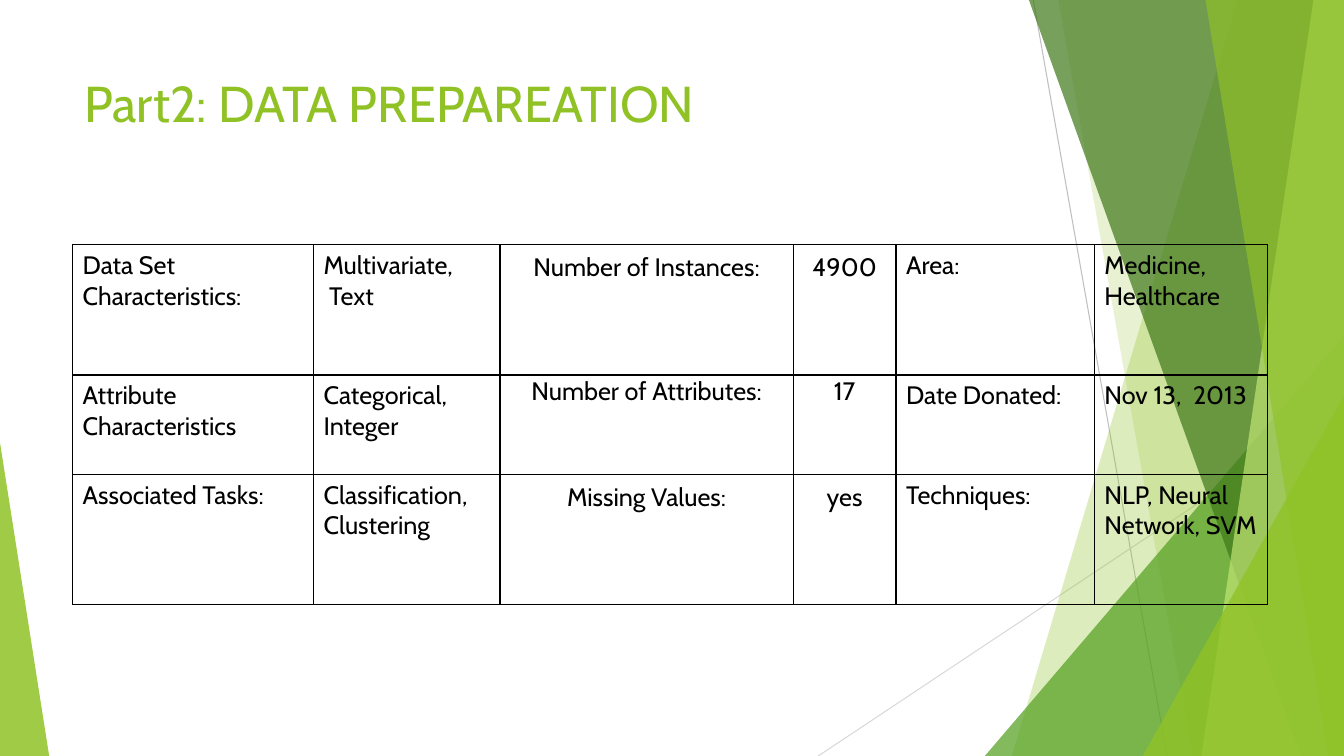
"""Build the data preparation slide with its faceted green backdrop."""
from dataclasses import dataclass

from lxml.etree import SubElement
from pptx import Presentation
from pptx.dml.color import RGBColor
from pptx.enum.shapes import MSO_CONNECTOR, MSO_SHAPE
from pptx.enum.text import MSO_ANCHOR, PP_ALIGN
from pptx.oxml.ns import qn
from pptx.shapes.base import BaseShape
from pptx.slide import Slide
from pptx.table import _Cell
from pptx.text.text import _Paragraph
from pptx.util import Cm, Pt


@dataclass(frozen=True)
class Theme:
    font: str = "Cabin"
    title_size: int = 36
    cell_size: int = 18
    line_width: float = 0.75
    border_width: float = 1
    lime: str = "90C226"
    leaf: str = "54A021"
    forest: str = "3F7819"
    pale: str = "C0E474"
    ink: str = "000000"
    silver: str = "BFBFBF"
    mist: str = "D9D9D9"


@dataclass(frozen=True)
class Ray:
    start: tuple[float, float]
    end: tuple[float, float]
    color: str


@dataclass(frozen=True)
class Panel:
    top_left: float
    bottom_left: float
    color: str
    opacity: int


@dataclass(frozen=True)
class Wedge:
    left: float
    top: float
    width: float
    apex: float
    color: str
    opacity: int


@dataclass(frozen=True)
class Entry:
    text: str
    margin: float | None = None


THEME = Theme()
WIDTH, HEIGHT = 33.87, 19.05
RAYS = (
    Ray((26.04, 0), (29.41, HEIGHT), THEME.silver),
    Ray((WIDTH, 10.24), (20.62, HEIGHT), THEME.mist),
)
FACETS = (
    Panel(31.19, 25.5, THEME.lime, 30),
    Panel(26.67, 30.05, THEME.lime, 20),
    Wedge(24.82, 8.46, 9.05, 1, THEME.leaf, 72),
    Panel(25.93, 32.79, THEME.forest, 70),
    Panel(33.1, 30.28, THEME.pale, 70),
    Panel(30.38, 33.48, THEME.lime, 65),
    Wedge(28.8, 9.98, 5.07, 1, THEME.lime, 80),
    Wedge(0, 11.15, 1.24, 0, THEME.lime, 85),
)
COLUMN_WIDTHS = (6.07, 4.7, 7.39, 2.59, 5, 4.37)
ROW_HEIGHTS = (3.28, 2.51, 3.28)
ENTRIES = (
    (Entry("Data Set Characteristics:"), Entry("Multivariate,\n Text"),
     Entry("Number of Instances:", 0.18), Entry("4900", 0.18),
     Entry("Area:"), Entry("Medicine, Healthcare")),
    (Entry("Attribute Characteristics"), Entry("Categorical,\nInteger"),
     Entry("Number of Attributes:", 0.03), Entry("17", 0.03),
     Entry("Date Donated:"), Entry("Nov 13,  2013")),
    (Entry("Associated Tasks:"), Entry("Classification, Clustering"),
     Entry("Missing Values:", 0.18), Entry("yes", 0.18),
     Entry("Techniques:"), Entry("NLP, Neural Network, SVM")),
)


def add_run(paragraph: _Paragraph, text: str, size: int, color: str) -> None:
    run = paragraph.add_run()
    run.text = text
    run.font.name = THEME.font
    run.font.size = Pt(size)
    run.font.color.rgb = RGBColor.from_string(color)


def paint(shape: BaseShape, color: str, opacity: int) -> None:
    shape.shadow.inherit = False
    shape.line.fill.background()
    shape.fill.solid()
    shape.fill.fore_color.rgb = RGBColor.from_string(color)
    swatch = shape.element.spPr.find(qn("a:solidFill")).find(qn("a:srgbClr"))
    SubElement(swatch, qn("a:alpha"), val=str(opacity * 1000))


def draw_ray(slide: Slide, ray: Ray) -> None:
    connector = slide.shapes.add_connector(
        MSO_CONNECTOR.STRAIGHT, *map(Cm, ray.start + ray.end))
    connector.line.color.rgb = RGBColor.from_string(ray.color)
    connector.line.width = Pt(THEME.line_width)
    SubElement(connector.element.spPr, qn("a:effectLst"))


def draw_facet(slide: Slide, facet: Panel | Wedge) -> None:
    if isinstance(facet, Panel):
        builder = slide.shapes.build_freeform(Cm(facet.top_left), 0)
        corners = ((WIDTH, 0), (WIDTH, HEIGHT), (facet.bottom_left, HEIGHT))
        builder.add_line_segments([(Cm(x), Cm(y)) for x, y in corners], close=True)
        shape = builder.convert_to_shape()
    else:
        shape = slide.shapes.add_shape(
            MSO_SHAPE.ISOSCELES_TRIANGLE, Cm(facet.left), Cm(facet.top),
            Cm(facet.width), Cm(HEIGHT - facet.top))
        shape.adjustments[0] = facet.apex
    paint(shape, facet.color, facet.opacity)


def draw_title(slide: Slide, text: str) -> None:
    title = slide.shapes.title
    title.left, title.top, title.width, title.height = map(Cm, (1.88, 1.7, 23.88, 2.11))
    title.text_frame.vertical_anchor = MSO_ANCHOR.TOP
    paragraph = title.text_frame.paragraphs[0]
    paragraph.alignment = PP_ALIGN.LEFT
    add_run(paragraph, text, THEME.title_size, THEME.lime)


def outline(cell: _Cell) -> None:
    properties = cell._tc.get_or_add_tcPr()
    for side in ("a:lnL", "a:lnR", "a:lnT", "a:lnB"):
        border = SubElement(properties, qn(side), w=str(Pt(THEME.border_width)))
        SubElement(SubElement(border, qn("a:solidFill")), qn("a:srgbClr"), val=THEME.ink)


def fill_cell(cell: _Cell, entry: Entry) -> None:
    outline(cell)
    cell.fill.background()
    if entry.margin is not None:
        cell.margin_left = cell.margin_right = Cm(entry.margin)
        cell.margin_top = cell.margin_bottom = Cm(entry.margin)
    frame = cell.text_frame
    for index, text in enumerate(entry.text.split("\n")):
        paragraph = frame.add_paragraph() if index else frame.paragraphs[0]
        paragraph.alignment = PP_ALIGN.LEFT if entry.margin is None else PP_ALIGN.CENTER
        add_run(paragraph, text, THEME.cell_size, THEME.ink)


def draw_table(slide: Slide) -> None:
    table = slide.shapes.add_table(
        len(ROW_HEIGHTS), len(COLUMN_WIDTHS), Cm(1.83), Cm(6.17),
        Cm(sum(COLUMN_WIDTHS)), Cm(sum(ROW_HEIGHTS))).table
    table.first_row = table.horz_banding = False
    for column, width in zip(table.columns, COLUMN_WIDTHS):
        column.width = Cm(width)
    for row, height, entries in zip(table.rows, ROW_HEIGHTS, ENTRIES):
        row.height = Cm(height)
        for cell, entry in zip(row.cells, entries):
            fill_cell(cell, entry)


def main() -> None:
    presentation = Presentation()
    presentation.slide_width, presentation.slide_height = Cm(WIDTH), Cm(HEIGHT)
    slide = presentation.slides.add_slide(presentation.slide_layouts.get_by_name("Title Only"))
    for ray in RAYS:
        draw_ray(slide, ray)
    for facet in FACETS:
        draw_facet(slide, facet)
    draw_title(slide, "Part2: DATA PREPAREATION")
    draw_table(slide)
    presentation.save("out.pptx")


if __name__ == "__main__":
    main()
